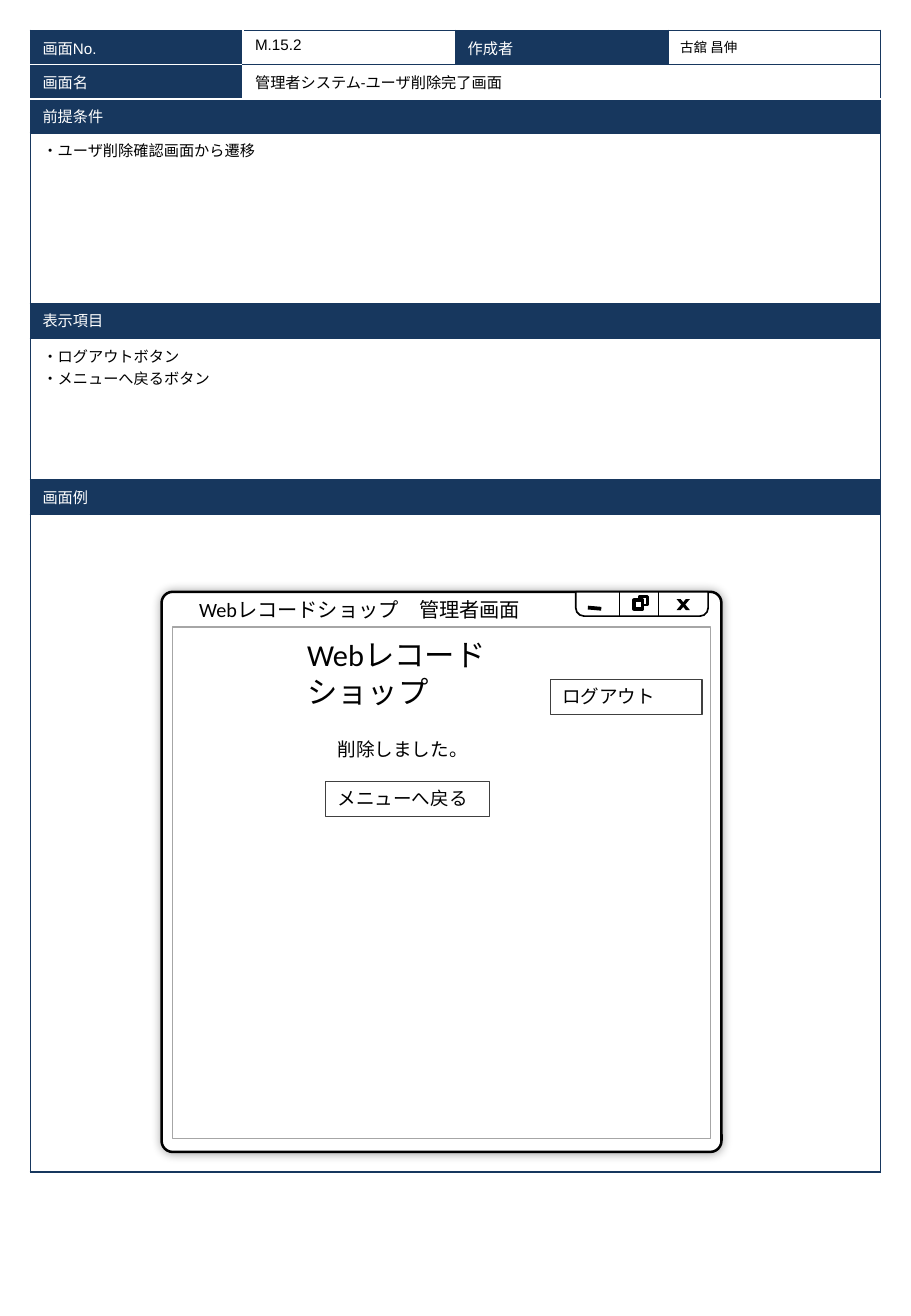
import pptx
import pptx.util
import pptx.dml.color
import pptx.enum.shapes
import pptx.enum.text
import pptx.oxml
import pptx.oxml.ns
import lxml.etree

HUES = {"navy": "17375E", "white": "FFFFFF", "black": "000000",
        "gray": "A6A6A6", "dark": "404040"}
KIND = pptx.enum.shapes.MSO_SHAPE
NS = pptx.oxml.ns.nsdecls("a")


def hue(name):
    return pptx.dml.color.RGBColor.from_string(HUES[name])


class Sheet:
    cell = 0.1

    def __init__(self, deck):
        self.slide = deck.slides.add_slide(deck.slide_layouts[6])
        self.shapes = self.slide.shapes

    def size(self, *cells):
        return [pptx.util.Inches(n * self.cell) for n in cells]

    def style(self, frame, pt, font, color):
        for para in frame.paragraphs:
            para.alignment = pptx.enum.text.PP_ALIGN.LEFT
            for run in para.runs:
                run.font.size = pptx.util.Pt(pt)
                run.font.name = font
                run.font.color.rgb = hue(color)

    def label(self, shape, words, pt):
        frame = shape.text_frame
        frame.text = words
        frame.word_wrap = True
        frame.auto_size = pptx.enum.text.MSO_AUTO_SIZE.SHAPE_TO_FIT_TEXT
        frame.vertical_anchor = pptx.enum.text.MSO_ANCHOR.TOP
        self.style(frame, pt, "Calibri", "black")

    def text(self, place, words, pt):
        self.label(self.shapes.add_textbox(*self.size(*place)), words, pt)

    def box(self, kind, place, fill="white", line="black", width=1, adjust=()):
        shape = self.shapes.add_shape(kind, *self.size(*place))
        shape.shadow.inherit = False
        for i, value in enumerate(adjust):
            shape.adjustments[i] = value
        if fill:
            shape.fill.solid()
            shape.fill.fore_color.rgb = hue(fill)
        else:
            shape.fill.background()
        if line:
            shape.line.color.rgb = hue(line)
            shape.line.width = pptx.util.Pt(width)
        else:
            shape.line.fill.background()
        return shape

    def button(self, place, words):
        shape = self.box(KIND.RECTANGLE, place, None, "dark", 0.75)
        self.label(shape, words, 11)

    def glow(self, shape, blur, alpha):
        effect = shape._element.spPr.find(pptx.oxml.ns.qn("a:effectLst"))
        effect.append(pptx.oxml.parse_xml(
            f'<a:outerShdw {NS} blurRad="{pptx.util.Pt(blur)}" dist="0" dir="0" '
            f'algn="ctr" rotWithShape="0"><a:srgbClr val="{HUES["black"]}">'
            f'<a:alpha val="{alpha * 1000}"/></a:srgbClr></a:outerShdw>'))

    def line(self, ends, width):
        rule = self.shapes.add_connector(
            pptx.enum.shapes.MSO_CONNECTOR.STRAIGHT, *self.size(*ends))
        rule.line.color.rgb = hue("black")
        rule.line.width = pptx.util.Pt(width)
        lxml.etree.SubElement(rule._element.spPr, pptx.oxml.ns.qn("a:effectLst"))

    def edge(self, cell, sides, white):
        props = cell._tc.get_or_add_tcPr()
        for i, side in enumerate(sides):
            color = HUES["white" if side in white else "navy"]
            props.insert(i, pptx.oxml.parse_xml(
                f'<a:ln{side} {NS} w="12700"><a:solidFill>'
                f'<a:srgbClr val="{color}"/></a:solidFill></a:ln{side}>'))

    def table(self, place, rows, heads, spans, white, pts):
        grid = self.shapes.add_table(len(rows), 4, *self.size(*place)).table
        grid.first_row = grid.horz_banding = False
        for row, (high, _) in zip(grid.rows, rows):
            row.height = self.size(high)[0]
        for r, start in spans.items():
            grid.cell(r, start).merge(grid.cell(r, 3))
        for r, (_, words) in enumerate(rows):
            for c in range(4):
                cell = grid.cell(r, c)
                head = (r, c) in heads
                if head:
                    cell.fill.solid()
                    cell.fill.fore_color.rgb = hue("navy")
                else:
                    cell.fill.background()
                if c < len(words):
                    cell.text_frame.text = words[c]
                    self.style(cell.text_frame, pts.get((r, c), 9),
                               "Calibri" if (r, c) == (1, 1) else "Arial",
                               "white" if head else "black")
                sides = "TB" if cell.is_spanned else "LRTB"
                self.edge(cell, sides, white.get((r, c), ""))


def form(sheet):
    rows = [
        (2.8, ["画面No.", "M.15.2", "作成者", "古舘 昌伸"]),
        (2.8, ["画面名", "管理者システム-ユーザ削除完了画面"]),
        (2.8, ["前提条件"]),
        (14, ["・ユーザ削除確認画面から遷移"]),
        (2.9, ["表示項目"]),
        (11.6, ["・ログアウトボタン\n・メニューへ戻るボタン"]),
        (2.9, ["画面例"]),
        (54.1, []),
    ]
    heads = {(0, 0), (0, 2), (1, 0), (2, 0), (4, 0), (6, 0)}
    spans = {1: 1, **{r: 0 for r in range(2, len(rows))}}
    white = {(0, 0): "RB", (0, 1): "L", (1, 0): "TRB", (1, 1): "LB",
             (1, 2): "B", (1, 3): "B", **{(2, c): "T" for c in range(4)}}
    high = sum(row[0] for row in rows)
    sheet.table((2.5, 2.5, 70, high), rows, heads, spans, white, {(0, 3): 8})


def window(sheet):
    frame = sheet.box(KIND.ROUNDED_RECTANGLE, (13.3, 48.7, 46.1, 46.1),
                      width=1.5, adjust=[0.02])
    sheet.glow(frame, 6, 37)
    bar = sheet.box(KIND.ROUND_2_SAME_RECTANGLE, (47.4, 48.7, 10.9, 2),
                    adjust=[0.34, 0])
    bar.rotation = 180
    for x in (51, 54.2):
        sheet.line((x, 50.7, x, 48.7), 0.75)
    for x, y, width in ((52.6, 49.1, 1.5), (52.2, 49.4, 2.25)):
        sheet.box(KIND.RECTANGLE, (x, y, 0.7, 0.7), width=width)
    for flip in (False, True):
        slash = sheet.box(KIND.PARALLELOGRAM, (55.7, 49.3, 1.1, 0.9),
                          "black", None, adjust=[0.85])
        if flip:
            slash._element.spPr.xfrm.set("flipH", "1")
    sheet.line((48.4, 50, 49.5, 50.1), 2.25)
    sheet.text((15.4, 48.7, 31.2, 3), "Webレコードショップ　管理者画面", 12)
    sheet.box(KIND.RECTANGLE, (14.2, 51.6, 44.3, 42.1), line="gray")


def main():
    deck = pptx.Presentation()
    deck.slide_width = pptx.util.Inches(7.5)
    deck.slide_height = pptx.util.Inches(10.83)
    sheet = Sheet(deck)
    form(sheet)
    window(sheet)
    sheet.text((24.3, 51.9, 23.1, 4), "Webレコードショップ", 18)
    sheet.text((26.8, 60.2, 29.9, 2.9), "削除しました。", 11)
    sheet.button((26.8, 64.3, 13.5, 2.9), "メニューへ戻る")
    sheet.button((45.3, 55.9, 12.5, 2.9), "ログアウト")
    deck.save("out.pptx")


if __name__ == "__main__":
    main()
